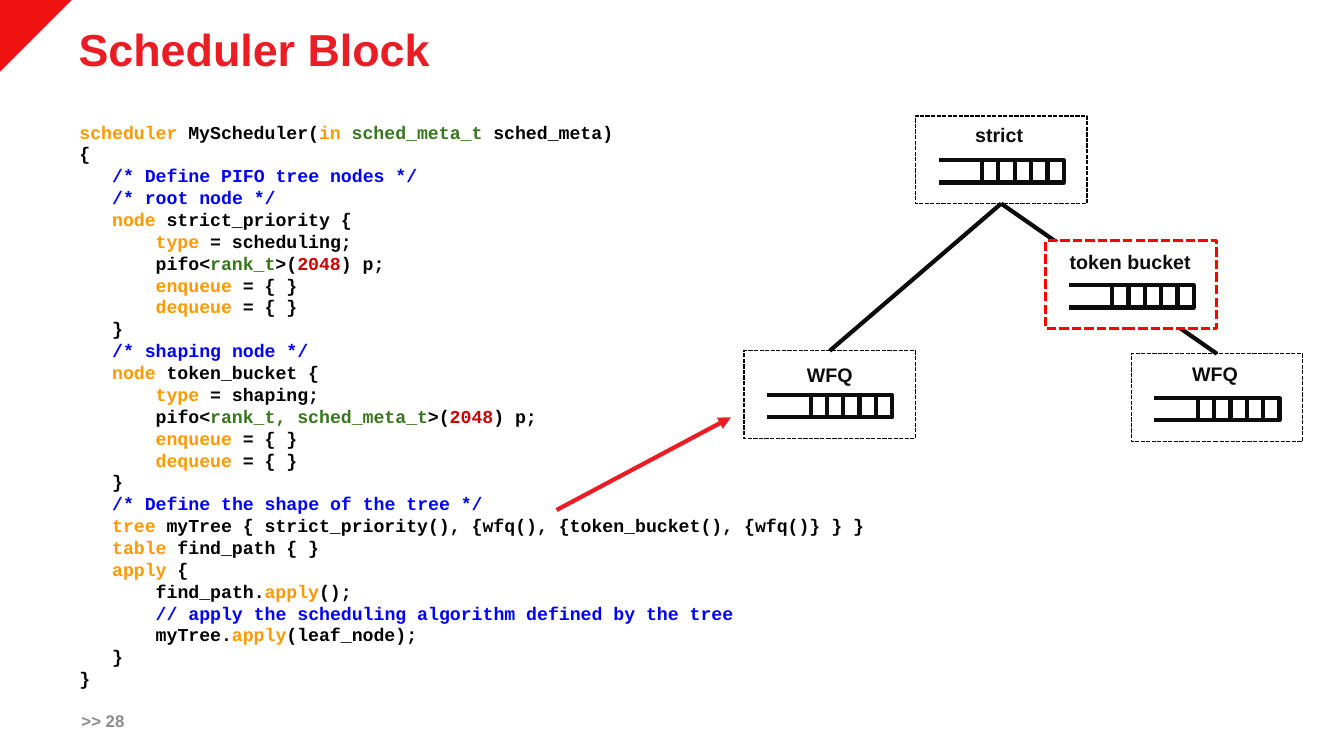
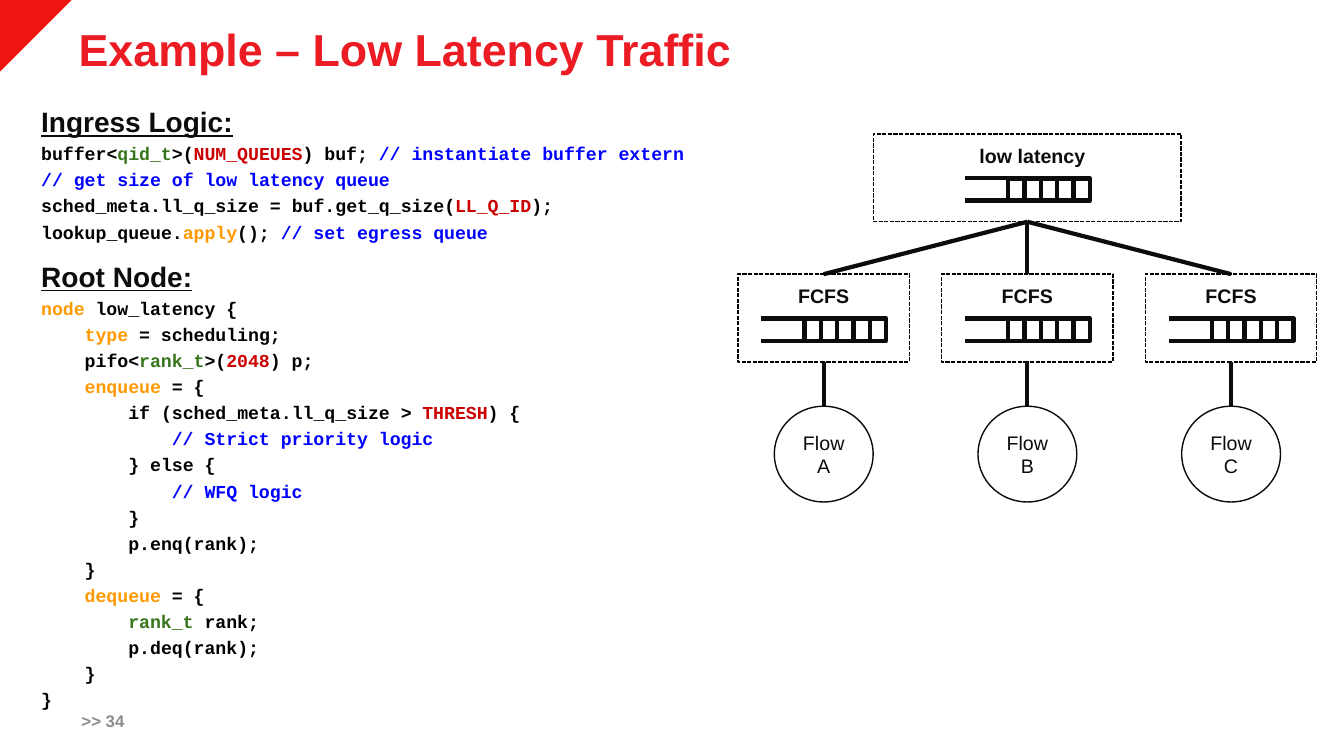
"""Build two slides on packet scheduling: code beside scheduler trees."""
from dataclasses import dataclass

from lxml import etree
from pptx import Presentation
from pptx.dml.color import RGBColor
from pptx.enum import dml, shapes, text
from pptx.oxml.ns import qn
from pptx.util import Inches, Pt


@dataclass(frozen=True)
class Theme:
    title: str = "EC1C24"
    corner: str = "F11212"
    arrow: str = "EB1C23"
    alert: str = "FF0000"
    ink: str = "0C0C0C"
    black: str = "000000"
    white: str = "FFFFFF"
    footer: str = "8C8C8C"
    keyword: str = "FF9900"
    type_name: str = "38761D"
    number: str = "CC0000"
    comment: str = "0000FF"
    sans: str = "Arial"
    mono: str = "Courier New"
    title_size: int = 32
    heading_size: int = 20
    label_size: int = 14
    code_size: int = 13
    footer_size: int = 12


T = Theme()
MARKS = {"k": T.keyword, "t": T.type_name, "n": T.number, "c": T.comment}

SCHEDULER_CODE = """\
|k:scheduler| MyScheduler(|k:in| |t:sched_meta_t| sched_meta)
{
   |c:/* Define PIFO tree nodes */|
   |c:/* root node */|
   |k:node| strict_priority {
       |k:type| = scheduling;
       pifo<|t:rank_t|>(|n:2048|) p;
       |k:enqueue| = { }
       |k:dequeue| = { }
   }
   |c:/* shaping node */|
   |k:node| token_bucket {
       |k:type| = shaping;
       pifo<|t:rank_t, sched_meta_t|>(|n:2048|) p;
       |k:enqueue| = { }
       |k:dequeue| = { }
   }
   |c:/* Define the shape of the tree */|
   |k:tree| myTree { strict_priority(), {wfq(), {token_bucket(), {wfq()} } }
   |k:table| find_path { }
   |k:apply| {
       find_path.|k:apply|();
       |c:// apply the scheduling algorithm defined by the tree|
       myTree.|k:apply|(leaf_node);
   }
}"""

LATENCY_CODE = """\
Ingress Logic:
buffer<|t:qid_t|>(|n:NUM_QUEUES|) buf; |c:// instantiate buffer extern|
|c:// get size of low latency queue|
sched_meta.ll_q_size = buf.get_q_size(|n:LL_Q_ID|);
lookup_queue.|k:apply|(); |c:// set egress queue|
Root Node:
|k:node| low_latency {
    |k:type| = scheduling;
    pifo<|t:rank_t|>(|n:2048|) p;
    |k:enqueue| = {
        if (sched_meta.ll_q_size > |n:THRESH|) {
            |c:// Strict priority logic|
        } else {
            |c:// WFQ logic|
        }
        p.enq(rank);
    }
    |k:dequeue| = {
        |t:rank_t| rank;
        p.deq(rank);
    }
}"""

# Each node: label, centre, top, width, label offset across and down, highlighted.
SLIDES = [
    dict(title="Scheduler Block", number=28, code=SCHEDULER_CODE,
         box=(0.69, 1.15, 11.5, 5.7), gap=0,
         nodes=[("strict", 9.93, 1.15, 1.7, -0.02, 0.02, False),
                ("WFQ", 8.23, 3.48, 1.7, 0, 0.07, False),
                ("WFQ", 12.07, 3.51, 1.7, -0.02, 0.03, False),
                ("token bucket", 11.22, 2.39, 1.7, -0.01, 0.04, True)],
         links=[(0, 1), (0, 2)], flows=[],
         arrows=[(5.52, 5.06, 7.25, 4.14)]),
    dict(title="Example – Low Latency Traffic", number=34, code=LATENCY_CODE,
         box=(0.31, 0.99, 6.88, 6.51), gap=3,
         nodes=[("low latency", 10.19, 1.33, 3.05, 0.05, 0.05, False)]
         + [("FCFS", 8.17 + 2.02 * i, 2.72, 1.7, 0, 0.05, False) for i in range(3)],
         links=[(0, 1), (0, 2), (0, 3)],
         flows=[(1, "Flow A"), (2, "Flow B"), (3, "Flow C")], arrows=[]),
]
NODE_H, CELLS, QUEUE_W, QUEUE_H, QUEUE_TAIL = 0.87, 5, 0.81, 0.22, 0.43
FLOW_W, FLOW_H, FLOW_GAP = 0.98, 0.95, 0.44


def write(p, content, size=T.label_size, color=T.ink, font=T.sans, bold=True,
          underline=False, align=text.PP_ALIGN.LEFT, spacing=1.0, before=0):
    p.alignment, p.line_spacing, p.space_before = align, spacing, Pt(before)
    for i, part in enumerate(content.split("|")):
        if not part:
            continue
        r = p.add_run()
        r.text = part[2:] if i % 2 else part
        r.font.size, r.font.name = Pt(size), font
        r.font.bold, r.font.underline = bold, underline
        r.font.color.rgb = RGBColor.from_string(MARKS[part[0]] if i % 2 else color)


def line(parent, x1, y1, x2, y2, color=T.ink, arrow=False):
    c = parent.add_connector(shapes.MSO_CONNECTOR.STRAIGHT,
                             Inches(x1), Inches(y1), Inches(x2), Inches(y2))
    c.line.width = Pt(3)
    c.line.color.rgb = RGBColor.from_string(color)
    pr = c.element.spPr
    if arrow:
        etree.SubElement(pr.find(qn("a:ln")), qn("a:tailEnd"), type="triangle")
    etree.SubElement(pr, qn("a:effectLst"))


prs = Presentation()
prs.slide_width, prs.slide_height = Inches(13.33), Inches(7.5)
layout = prs.slide_layouts[5]

for page in SLIDES:
    s = prs.slides.add_slide(layout)
    if page is SLIDES[0]:
        corner = s.shapes.build_freeform(Inches(0.71), 0)
        corner.add_line_segments([(0, 0), (0, Inches(0.71))], close=True)
        sp = corner.convert_to_shape()
        sp.shadow.inherit = False
        sp.fill.solid()
        sp.fill.fore_color.rgb = RGBColor.from_string(T.corner)
        sp.line.fill.background()
        layout.shapes.element.append(sp.element)

    sp = s.shapes.title
    sp.left, sp.top, sp.width, sp.height = map(Inches, (0.68, 0.24, 11.53, 0.55))
    tf = sp.text_frame
    tf.auto_size, tf.vertical_anchor = text.MSO_AUTO_SIZE.NONE, text.MSO_ANCHOR.MIDDLE
    write(tf.paragraphs[0], page["title"], size=T.title_size, color=T.title, spacing=0.9)

    tf = s.shapes.add_textbox(*map(Inches, page["box"])).text_frame
    tf.word_wrap = True
    for i, row in enumerate(page["code"].splitlines()):
        p = tf.add_paragraph() if i else tf.paragraphs[0]
        if row.endswith(":"):
            write(p, row, size=T.heading_size, underline=True, before=12 if i else 0)
        else:
            write(p, row, size=T.code_size, color=T.black, font=T.mono,
                  before=page["gap"] if i else 0)

    tf = s.shapes.add_textbox(*map(Inches, (0.71, 6.95, 0.99, 0.4))).text_frame
    tf.word_wrap, tf.vertical_anchor = True, text.MSO_ANCHOR.MIDDLE
    write(tf.paragraphs[0], f">> {page['number']}", size=T.footer_size, color=T.footer)

    nodes = page["nodes"]
    for parent, child in page["links"]:
        line(s.shapes, nodes[parent][1], nodes[parent][2] + NODE_H,
             nodes[child][1], nodes[child][2])

    for label, cx, top, width, label_dx, label_dy, alert in nodes:
        group = s.shapes.add_group_shape().shapes
        left, queue_x, queue_y = cx - width / 2, cx - 0.19, top + 0.44
        cell = QUEUE_W / CELLS
        boxes = [(left, top, width, NODE_H)]
        boxes += [(queue_x + i * cell, queue_y, cell, QUEUE_H) for i in range(CELLS)]
        for i, box in enumerate(boxes):
            sp = group.add_shape(shapes.MSO_SHAPE.RECTANGLE, *map(Inches, box))
            sp.shadow.inherit = False
            sp.fill.background()
            sp.line.width = Pt(3)
            sp.line.color.rgb = RGBColor.from_string(T.ink)
            if i == 0:
                sp.line.width = Pt(2.25 if alert else 1)
                sp.line.color.rgb = RGBColor.from_string(T.alert if alert else T.black)
                sp.line.dash_style = dml.MSO_LINE.SQUARE_DOT
                if alert:
                    sp.fill.solid()
                    sp.fill.fore_color.rgb = RGBColor.from_string(T.white)
        for y in (queue_y, queue_y + QUEUE_H):
            line(group, queue_x, y, queue_x - QUEUE_TAIL, y)
        sp = group.add_textbox(Inches(left + label_dx), Inches(top + label_dy),
                               Inches(width), Inches(0.34))
        sp.text_frame.word_wrap = True
        write(sp.text_frame.paragraphs[0], label, align=text.PP_ALIGN.CENTER)

    for i, label in page["flows"]:
        cx, bottom = nodes[i][1], nodes[i][2] + NODE_H
        line(s.shapes, cx, bottom, cx, bottom + FLOW_GAP)
        sp = s.shapes.add_shape(shapes.MSO_SHAPE.OVAL, Inches(cx - FLOW_W / 2),
                                Inches(bottom + FLOW_GAP), Inches(FLOW_W), Inches(FLOW_H))
        sp.shadow.inherit = False
        sp.fill.background()
        sp.line.width = Pt(1)
        sp.line.color.rgb = RGBColor.from_string(T.ink)
        tf = sp.text_frame
        tf.word_wrap, tf.vertical_anchor = True, text.MSO_ANCHOR.MIDDLE
        write(tf.paragraphs[0], label, bold=False, align=text.PP_ALIGN.CENTER)

    for ends in page["arrows"]:
        line(s.shapes, *ends, color=T.arrow, arrow=True)

prs.save("out.pptx")
